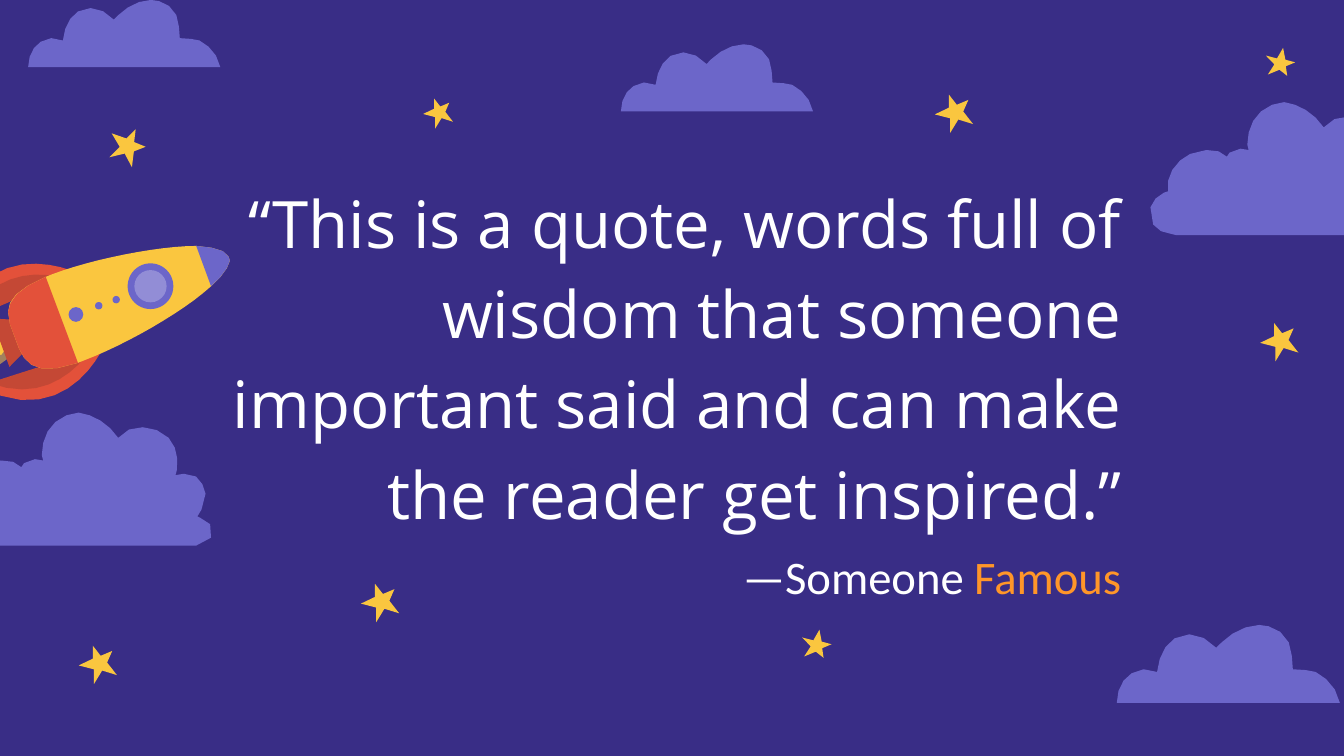
import math

import pptx
import pptx.dml.color
import pptx.enum.shapes
import pptx.enum.text
import pptx.oxml
import pptx.oxml.ns
import pptx.util

COLUMNS, ROWS = 1000, 562.5
NIGHT, LILAC, YELLOW, RED = "392D86", "6C66C9", "FAC63F", "E3513A"
SHADE, WHITE, ORANGE = "191919", "FFFFFF", "FF9629"
ROCKET_TILT = 92.3

STAR = "M 61,0 L 43,30 0,27 31,56 11,90 49,70 78,100 72,58 100,38 66,34"
LOW_CLOUD = """M 937,465 C 940,465 942,465 944,466 950,468 956,471 959,478
961,485 962,491 962,498 970,498 974,499 979,500
987,504 995,512 997,523 L 831,523 C 831,514 835,505 842,501
845,499 848,498 851,498 854,498 858,499 861,500 862,490 866,480 874,475
877,473 881,472 885,472 892,472 900,476 905,482 L 909,478
C 916,471 927,465 937,465"""
HIGH_CLOUD = """M 955,76 C 949,76 943,79 938,83 931,89 928,99 928,108
L 929,112 923,111 C 920,111 917,112 915,114 L 913,117
C 911,115 909,114 907,113 904,113 901,112 898,112
894,112 890,113 886,115 881,117 876,122 873,127 870,132 869,138 870,143
L 867,144 C 862,146 859,150 857,155 856,159 857,164 859,168
862,172 867,175 872,175 L 876,176 1041,176
C 1045,176 1050,174 1052,170 1054,163 1051,155 1044,155 L 1042,154 1045,149
C 1047,146 1048,141 1048,137 1047,132 1045,127 1041,124
1038,123 1035,122 1032,122 L 1026,123 1027,119
C 1028,110 1027,102 1021,95 1016,90 1009,87 1002,87 995,86 988,90 984,95
979,87 971,81 963,78 960,77 957,76 955,76"""

FIN = "M 19,261 L 7,273 -6,237 11,238"
ROCKET_PARTS = [
    ("M 77,258 C 77,258 49,323 -17,287 L -8,285 67,261", RED, 100),
    ("M 67,261 C 56,276 32,300 -8,285", SHADE, 15),
    ("M 57,203 L 48,207 -26,239 -34,243 C -7,172 57,203 57,203", RED, 100),
    ("M 48,207 L -26,239 C -5,200 30,202 48,207", SHADE, 15),
    ("""M 10,258 C 9,264 6,269 0,271 -8,274 -31,267 -31,267
    -31,267 -18,246 -11,243 -3,240 6,244 9,252 9,254 10,256 10,258""", YELLOW, 55),
    ("""M 7,256 C 7,260 5,263 1,264 -4,266 -18,262 -18,262
    -18,262 -10,249 -5,247 -1,246 5,248 6,253 7,254 7,255 7,256""", YELLOW, 100),
    (FIN, RED, 100),
    (FIN, SHADE, 15),
    ("""M 171,194 C 170,199 165,206 157,213 135,233 92,257 63,268
    L 58,270 C 22,282 17,268 11,251 8,244 6,238 6,232
    6,223 13,215 34,206 L 39,204 C 68,193 117,183 146,183
    159,184 168,186 170,191 170,192 171,193 171,194""", YELLOW, 100),
    ("""M 58,270 C 22,282 17,268 11,251 8,244 6,238 6,232
    7,223 13,215 34,206""", RED, 100),
    ("""M 171,194 C 170,199 165,206 157,213 L 146,183
    C 159,184 168,186 170,191 170,192 171,193 171,194""", LILAC, 100),
]
PORTHOLES = [
    (56.5, 234, 5.5, LILAC, 100),
    (73.5, 227.5, 2.75, LILAC, 100),
    (86.5, 223, 2.75, LILAC, 100),
    (112, 213, 17, LILAC, 100),
    (112, 213, 12, WHITE, 26),
]


def color(value):
    """Turn a hex string into a colour."""
    return pptx.dml.color.RGBColor.from_string(value)


def outline(text, stride=9):
    """Read move, line and cubic commands into points about a stride apart."""
    points, pending, command = [], [], "M"
    for token in text.split():
        if token.isalpha():
            command = token
            continue
        pending.append(tuple(float(number) for number in token.split(",")))
        if command != "C":
            points.append(pending.pop())
        elif len(pending) == 3:
            curve = [points[-1], *pending]
            pending = []
            steps = max(1, round(math.dist(curve[0], curve[3]) / stride))
            for step in range(1, steps + 1):
                t = step / steps
                weights = ((1 - t) ** 3, 3 * t * (1 - t) ** 2, 3 * t * t * (1 - t), t ** 3)
                points.append(tuple(
                    sum(weight * point[axis] for weight, point in zip(weights, curve))
                    for axis in (0, 1)))
    return points


def bounds(points):
    """Return left, top, width and height of the points."""
    xs, ys = zip(*points)
    return min(xs), min(ys), max(xs) - min(xs), max(ys) - min(ys)


def fit(points, box):
    """Stretch the points to fill the box."""
    left, top, width, height = bounds(points)
    return [(box[0] + (x - left) / width * box[2], box[1] + (y - top) / height * box[3])
            for x, y in points]


def turn(point, degrees):
    """Turn a point clockwise about the grid's origin."""
    cosine, sine = math.cos(math.radians(degrees)), math.sin(math.radians(degrees))
    return point[0] * cosine - point[1] * sine, point[0] * sine + point[1] * cosine


def level(points, degrees):
    """Undo a tilt so that a shape rotated by it covers the same points."""
    flat = [turn(point, -degrees) for point in points]
    left, top, width, height = bounds(flat)
    middle = left + width / 2, top + height / 2
    target = turn(middle, degrees)
    return [(x + target[0] - middle[0], y + target[1] - middle[1]) for x, y in flat]


def add_run(paragraph, text, *, size, font, fill):
    """Add formatted text to a paragraph."""
    run = paragraph.add_run()
    run.text = text
    run.font.size = pptx.util.Pt(size)
    run.font.name = font
    run.font.color.rgb = color(fill)


class QuoteSlide:
    """Hold the grid, the style and the current slide."""

    def __init__(self, presentation, background):
        """Add a blank slide with a plain background."""
        self.cell = presentation.slide_width / COLUMNS
        self.slide = presentation.slides.add_slide(presentation.slide_layouts[6])
        self.slide.background.fill.solid()
        self.slide.background.fill.fore_color.rgb = color(background)

    def lengths(self, *cells):
        """Turn grid cells into slide lengths."""
        return [round(count * self.cell) for count in cells]

    def paint(self, shape, fill, opacity):
        """Give a shape a flat fill without line or shadow."""
        shape.shadow.inherit = False
        shape.line.fill.background()
        shape.fill.solid()
        shape.fill.fore_color.rgb = color(fill)
        if opacity < 100:
            for element in shape.element.spPr.iter(pptx.oxml.ns.qn("a:srgbClr")):
                element.append(pptx.oxml.parse_xml(
                    f'<a:alpha {pptx.oxml.ns.nsdecls("a")} val="{opacity * 1000}"/>'))

    def polygon(self, points, fill, rotation=0, opacity=100):
        """Draw a closed outline."""
        corners = [self.lengths(*point) for point in points]
        builder = self.slide.shapes.build_freeform(*corners[0])
        builder.add_line_segments(corners[1:], close=True)
        shape = builder.convert_to_shape()
        shape.rotation = rotation
        self.paint(shape, fill, opacity)

    def circle(self, x, y, radius, fill, opacity):
        """Draw a circle about its centre."""
        shape = self.slide.shapes.add_shape(
            pptx.enum.shapes.MSO_SHAPE.OVAL,
            *self.lengths(x - radius, y - radius, 2 * radius, 2 * radius))
        self.paint(shape, fill, opacity)

    def cloud(self, path, *box):
        """Draw a cloud that fills the box."""
        self.polygon(fit(outline(path), box), LILAC)

    def star(self, left, top, width, rotation):
        """Draw a tilted star."""
        self.polygon(fit(outline(STAR), (left, top, width, width + 1)), YELLOW, rotation)

    def text(self, box, runs, anchor, spacing=1.0):
        """Add a right-aligned paragraph made of (text, format) runs."""
        frame = self.slide.shapes.add_textbox(*self.lengths(*box)).text_frame
        frame.word_wrap = True
        frame.vertical_anchor = anchor
        (frame.margin_left, frame.margin_top,
         frame.margin_right, frame.margin_bottom) = self.lengths(10, 10, 10, 10)
        paragraph = frame.paragraphs[0]
        paragraph.alignment = pptx.enum.text.PP_ALIGN.RIGHT
        paragraph.line_spacing = spacing
        for text, style in runs:
            add_run(paragraph, text, **style)


def main():
    """Build the quote slide and save it."""
    presentation = pptx.Presentation()
    presentation.slide_width = pptx.util.Inches(COLUMNS / 100)
    presentation.slide_height = pptx.util.Inches(ROWS / 100)
    page = QuoteSlide(presentation, NIGHT)
    for left, top in ((856, 76), (-41, 307)):
        page.cloud(HIGH_CLOUD, left, top, 198, 99)
    for box in ((21, 0, 143, 50), (831, 465, 166, 58), (462, 33, 143, 50)):
        page.cloud(LOW_CLOUD, *box)
    for star in ((939, 240, 27, 330), (942, 36, 21, 75), (60, 480, 27, 330),
                 (597, 469, 21, 75), (697, 70, 27, 330), (270, 434, 27, 330),
                 (316, 73, 21, 330), (81, 95, 27, 15)):
        page.star(*star)
    author = {"size": 25, "font": "Calibri"}
    page.text((472, 398, 372, 58),
              [("—Someone ", {**author, "fill": WHITE}), ("Famous", {**author, "fill": ORANGE})],
              pptx.enum.text.MSO_ANCHOR.TOP)
    quote = ("“This is a quote, words full of wisdom that someone important said "
             "and can make the reader get inspired.”")
    page.text((156, 126, 689, 280), [(quote, {"size": 35, "font": "Open Sans", "fill": WHITE})],
              pptx.enum.text.MSO_ANCHOR.BOTTOM, 1.15)
    for path, fill, opacity in ROCKET_PARTS:
        page.polygon(level(outline(path), ROCKET_TILT), fill, ROCKET_TILT, opacity)
    for porthole in PORTHOLES:
        page.circle(*porthole)
    presentation.save("out.pptx")


if __name__ == "__main__":
    main()
